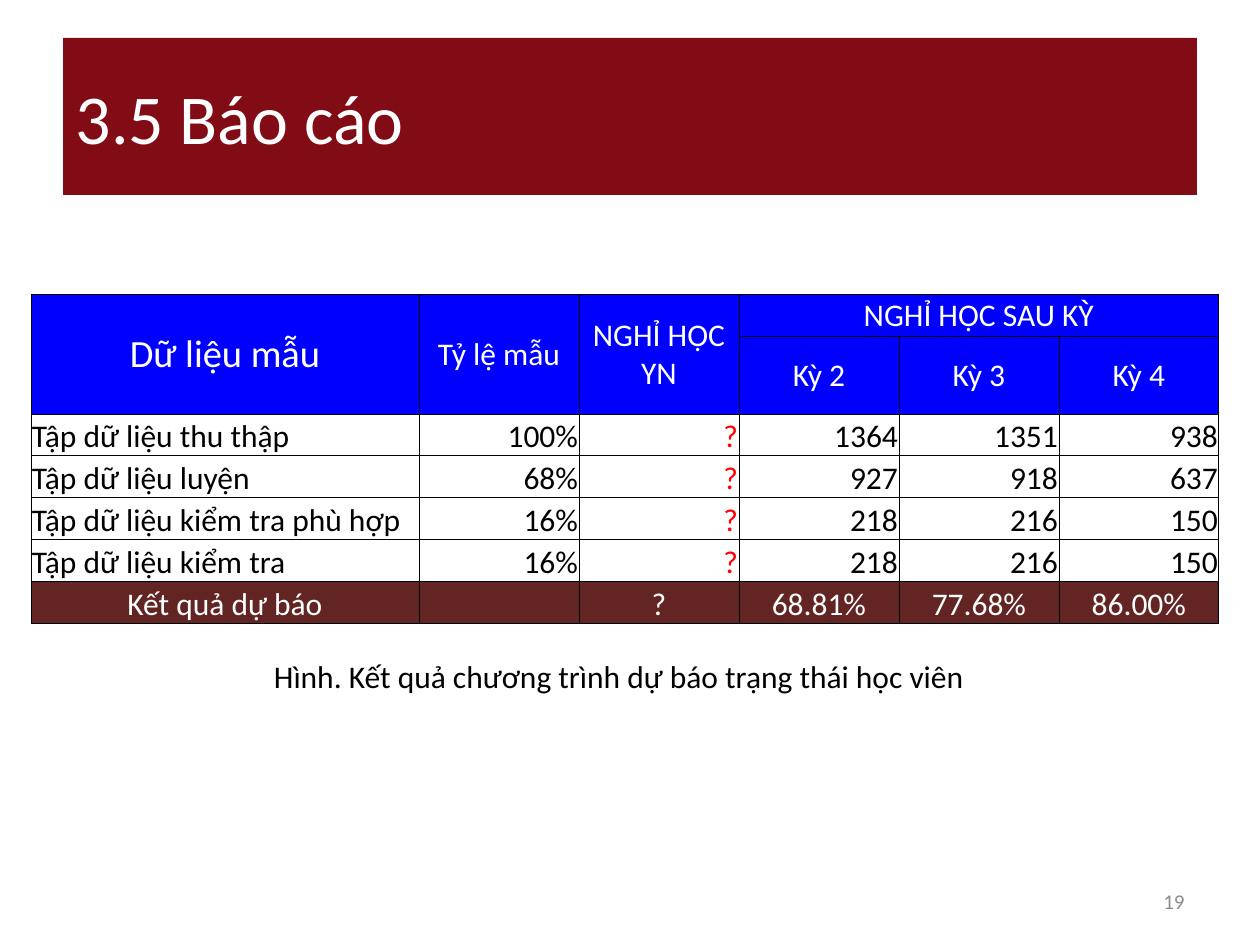
from lxml import etree
from pptx import Presentation
from pptx.dml.color import RGBColor
from pptx.enum.text import MSO_ANCHOR, PP_ALIGN
from pptx.oxml.ns import qn
from pptx.util import Emu, Pt

LEFT, MID, RIGHT = PP_ALIGN.LEFT, PP_ALIGN.CENTER, PP_ALIGN.RIGHT
CENTER, BASE = MSO_ANCHOR.MIDDLE, MSO_ANCHOR.BOTTOM
SCALE = 914400 / 126

THEME = {
    "font": "Calibri",
    "white": "FFFFFF", "black": "000000", "red": "FF0000", "gray": "8C8C8C",
    "banner": "810C15", "head": "0000FF", "total": "632523",
    "title": 40, "lead": 22, "body": 18, "page": 12, "rule": 0.5,
}


def px(*nums):
    return [Emu(round(n * SCALE)) for n in nums]


def style(frame, size, color, align):
    for para in frame.paragraphs:
        para.alignment = align
        for run in para.runs:
            run.font.name = THEME["font"]
            run.font.size = Pt(THEME[size])
            run.font.color.rgb = RGBColor.from_string(THEME[color])


deck = Presentation()
deck.slide_width, deck.slide_height = px(1260, 945)
slide = deck.slides.add_slide(deck.slide_layouts[5])

# Title banner
title = slide.shapes.title
title.left, title.top, title.width, title.height = px(63, 38, 1134, 157)
title.fill.solid()
title.fill.fore_color.rgb = RGBColor.from_string(THEME["banner"])
title.text_frame.text = "3.5 Báo cáo"
title.text_frame.vertical_anchor = CENTER
style(title.text_frame, "title", "white", LEFT)

# Results table
ROWS = [
    ["Dữ liệu mẫu", "Tỷ lệ mẫu", "NGHỈ HỌC\nYN", "NGHỈ HỌC SAU KỲ", "", ""],
    ["", "", "", "Kỳ 2", "Kỳ 3", "Kỳ 4"],
    ["Tập dữ liệu thu thập", "100%", "?", "1364", "1351", "938"],
    ["Tập dữ liệu luyện", "68%", "?", "927", "918", "637"],
    ["Tập dữ liệu kiểm tra phù hợp", "16%", "?", "218", "216", "150"],
    ["Tập dữ liệu kiểm tra", "16%", "?", "218", "216", "150"],
    ["Kết quả dự báo", "", "?", "68.81%", "77.68%", "86.00%"],
]
WIDTHS = [388] + [160] * 5
HEAD, LAST = 2, len(ROWS) - 1

grid = slide.shapes.add_table(
    len(ROWS), len(WIDTHS), *px(31, 294, sum(WIDTHS), 42 * len(ROWS))).table
for col, width in zip(grid.columns, px(*WIDTHS)):
    col.width = width
for row in grid.rows:
    row.height = px(42)[0]
for c in range(3):
    grid.cell(0, c).merge(grid.cell(1, c))
grid.cell(0, 3).merge(grid.cell(0, 5))

for r, row in enumerate(ROWS):
    for c, text in enumerate(row):
        cell = grid.cell(r, c)
        cell.text_frame.text = text
        cell.margin_left = cell.margin_top = cell.margin_right = px(1)[0]
        cell.margin_bottom = 0
        cell.vertical_anchor = CENTER if r < HEAD else BASE
        if r < HEAD or r == LAST:
            fill, color, align = "head" if r < HEAD else "total", "white", MID
        else:
            fill = None
            color = "red" if text == "?" else "black"
            align = RIGHT if c else LEFT
        style(cell.text_frame, "body" if r or c else "lead", color, align)
        if fill:
            cell.fill.solid()
            cell.fill.fore_color.rgb = RGBColor.from_string(THEME[fill])
        else:
            cell.fill.background()
        # Border lines must come before the fill
        props = cell._tc.get_or_add_tcPr()
        for i, side in enumerate(("a:lnL", "a:lnR", "a:lnT", "a:lnB")):
            line = etree.Element(qn(side), w=str(Pt(THEME["rule"])))
            solid = etree.SubElement(line, qn("a:solidFill"))
            etree.SubElement(solid, qn("a:srgbClr"), val=THEME["black"])
            props.insert(i, line)

# Caption and page number
NOTES = [
    ("Hình. Kết quả chương trình dự báo trạng thái học viên",
     (157, 651, 924, 50), "body", "black", MID),
    ("19", (903, 876, 294, 50), "page", "gray", RIGHT),
]
for text, place, size, color, align in NOTES:
    frame = slide.shapes.add_textbox(*px(*place)).text_frame
    frame.word_wrap = True
    frame.vertical_anchor = CENTER
    frame.text = text
    style(frame, size, color, align)

deck.save("out.pptx")
